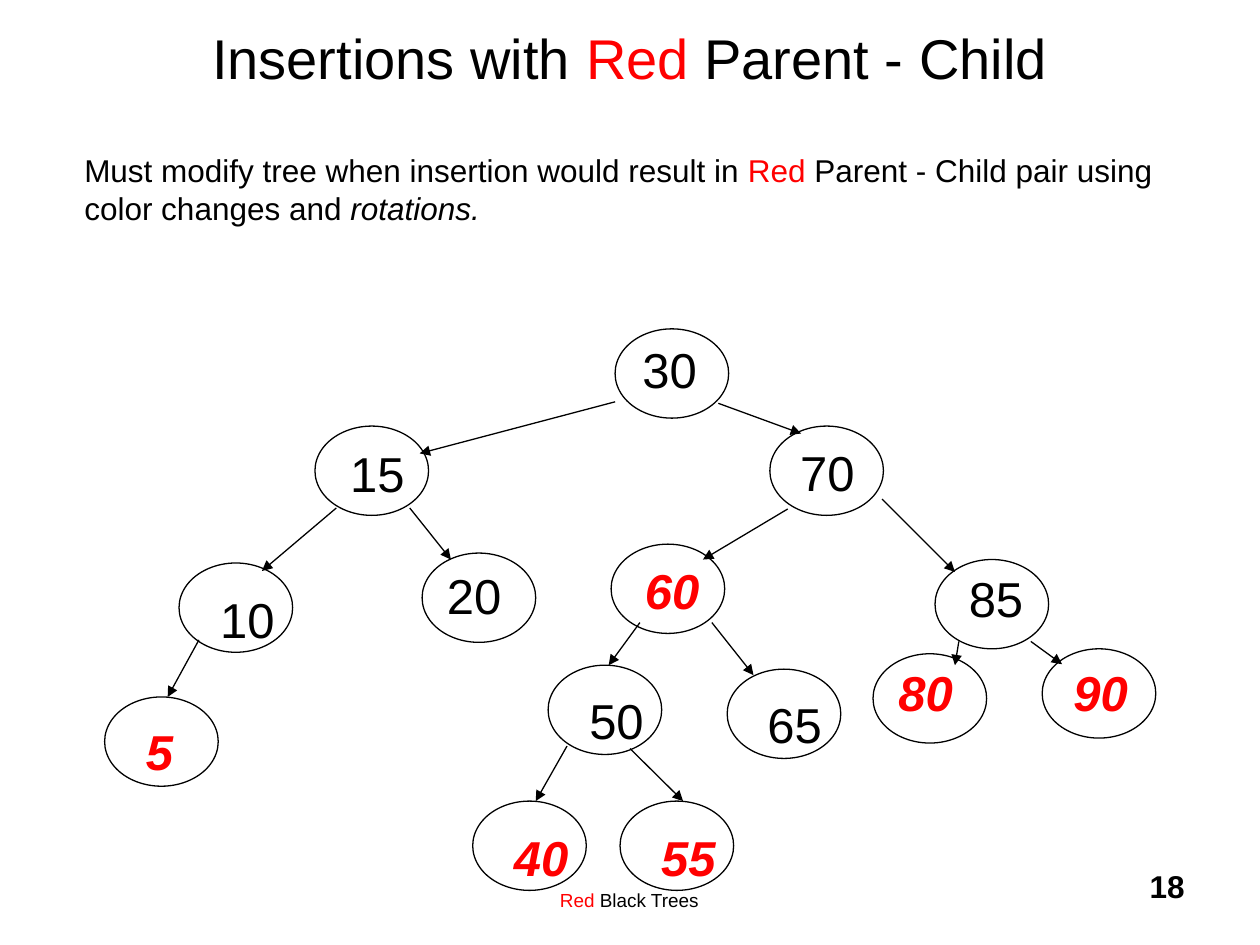
from lxml.etree import SubElement
from pptx import Presentation
from pptx.dml.color import RGBColor
from pptx.enum.shapes import MSO_CONNECTOR, MSO_SHAPE
from pptx.enum.text import MSO_ANCHOR, PP_ALIGN
from pptx.oxml.ns import qn
from pptx.util import Cm, Pt

BLACK, RED = "000000", "FF0000"


def color(code):
    return RGBColor.from_string(code)


def write(text, box, size, align=PP_ALIGN.LEFT, anchor=MSO_ANCHOR.TOP,
          bold=False, wrap=True):
    area = slide.shapes.add_textbox(*[Cm(n) for n in box])
    frame = area.text_frame
    frame.word_wrap = wrap
    frame.vertical_anchor = anchor
    para = frame.paragraphs[0]
    para.alignment = align
    for words, tint, slant in text:
        run = para.add_run()
        run.text = words
        run.font.name = "Arial"
        run.font.size = Pt(size)
        run.font.bold = bold
        run.font.italic = slant
        run.font.color.rgb = color(tint)


deck = Presentation()
deck.slide_width, deck.slide_height = Cm(25.4), Cm(19.05)
slide = deck.slides.add_slide(deck.slide_layouts[6])

write([("Insertions with ", BLACK, False), ("Red", RED, False),
       (" Parent - Child", BLACK, False)],
      (1.9, -0.43, 21.59, 3.18), 32, align=PP_ALIGN.CENTER,
      anchor=MSO_ANCHOR.MIDDLE)
write([("Must modify tree when insertion would result in ", BLACK, False),
       ("Red", RED, False),
       (" Parent - Child pair using color changes and ", BLACK, False),
       ("rotations.", BLACK, True)],
      (1.45, 2.92, 22.05, 1.78), 18)
write([("Red", RED, False), (" Black Trees", BLACK, False)],
      (7.82, 17.78, 9.73, 0.84), 10.8, align=PP_ALIGN.CENTER)
write([("18", BLACK, False)], (18.85, 17.35, 5.28, 1.27), 18,
      align=PP_ALIGN.RIGHT, bold=True)

nodes = [
    ("30", 12.4, 6.63, 0.3, 0.08, BLACK),
    ("15", 6.35, 8.59, 0.46, 0.22, BLACK),
    ("70", 15.52, 8.59, 0.36, 0.2, BLACK),
    ("85", 18.85, 11.28, 0.43, 0.05, BLACK),
    ("80", 17.6, 13.18, 0.26, 0.05, RED),
    ("90", 21.01, 13.08, 0.38, 0.15, RED),
    ("60", 12.32, 10.97, 0.43, 0.21, RED),
    ("10", 3.61, 11.35, 0.58, 0.4, BLACK),
    ("20", 8.51, 11.15, 0.25, 0.13, BLACK),
    ("50", 11.05, 13.41, 0.58, 0.38, BLACK),
    ("65", 14.66, 13.49, 0.56, 0.38, BLACK),
    ("5", 2.11, 14.05, 0.58, 0.38, RED),
    ("40", 9.53, 16.15, 0.58, 0.4, RED),
    ("55", 12.5, 16.15, 0.58, 0.4, RED),
]
for key, x, y, dx, dy, tint in nodes:
    oval = slide.shapes.add_shape(MSO_SHAPE.OVAL, Cm(x), Cm(y), Cm(2.29), Cm(1.8))
    oval.shadow.inherit = False
    oval.fill.background()
    oval.line.color.rgb = color(BLACK)
    oval.line.width = Pt(0.75)
    red = tint == RED
    write([(key, tint, red)], (x + dx, y + dy, 0.48 + 0.56 * len(key), 1.45), 28,
          bold=red, wrap=False)

edges = [
    (12.4, 8.1, 8.46, 9.14),
    (14.48, 8.13, 16.15, 8.74),
    (17.78, 10.06, 19.25, 11.53),
    (19.33, 12.93, 19.25, 13.41),
    (20.78, 12.93, 21.41, 13.39),
    (15.88, 10.26, 14.17, 11.28),
    (6.78, 10.24, 5.28, 11.51),
    (8.26, 10.24, 9.09, 11.28),
    (12.9, 12.55, 12.27, 13.41),
    (14.35, 12.55, 15.19, 13.61),
    (4.01, 12.9, 3.38, 14.05),
    (11.43, 15.04, 10.8, 16.15),
    (12.7, 15.09, 13.77, 16.15),
]
for ends in edges:
    edge = slide.shapes.add_connector(MSO_CONNECTOR.STRAIGHT, *[Cm(n) for n in ends])
    edge.line.color.rgb = color(BLACK)
    edge.line.width = Pt(0.75)
    SubElement(edge.line._get_or_add_ln(), qn("a:tailEnd"), type="triangle")
    SubElement(edge._element.spPr, qn("a:effectLst"))

deck.save("out.pptx")
